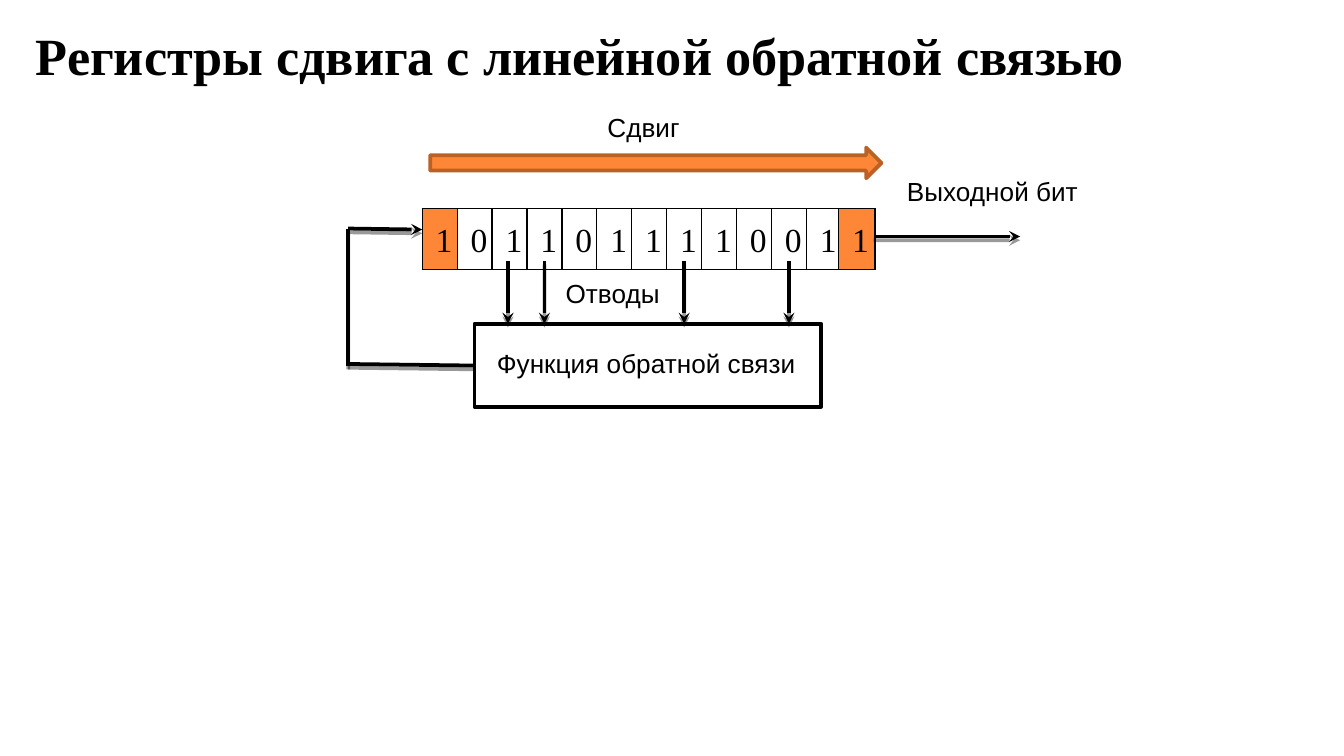
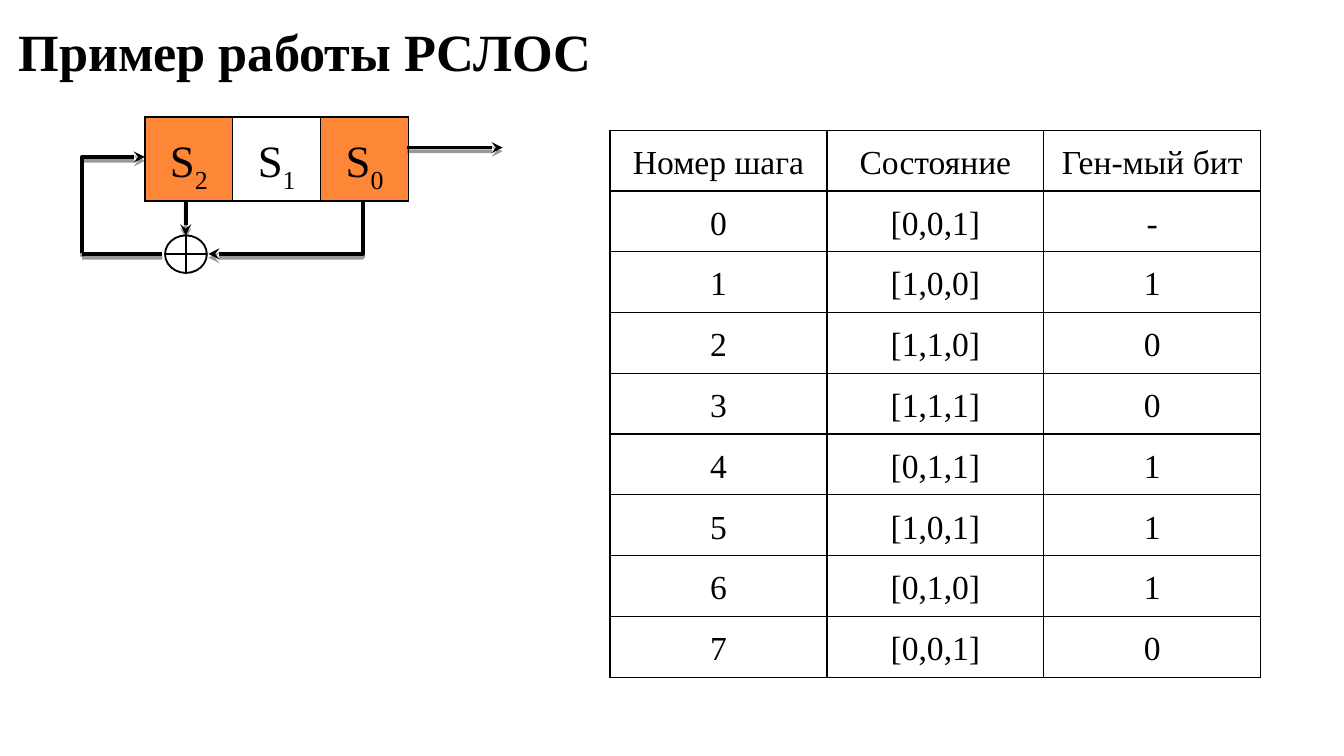
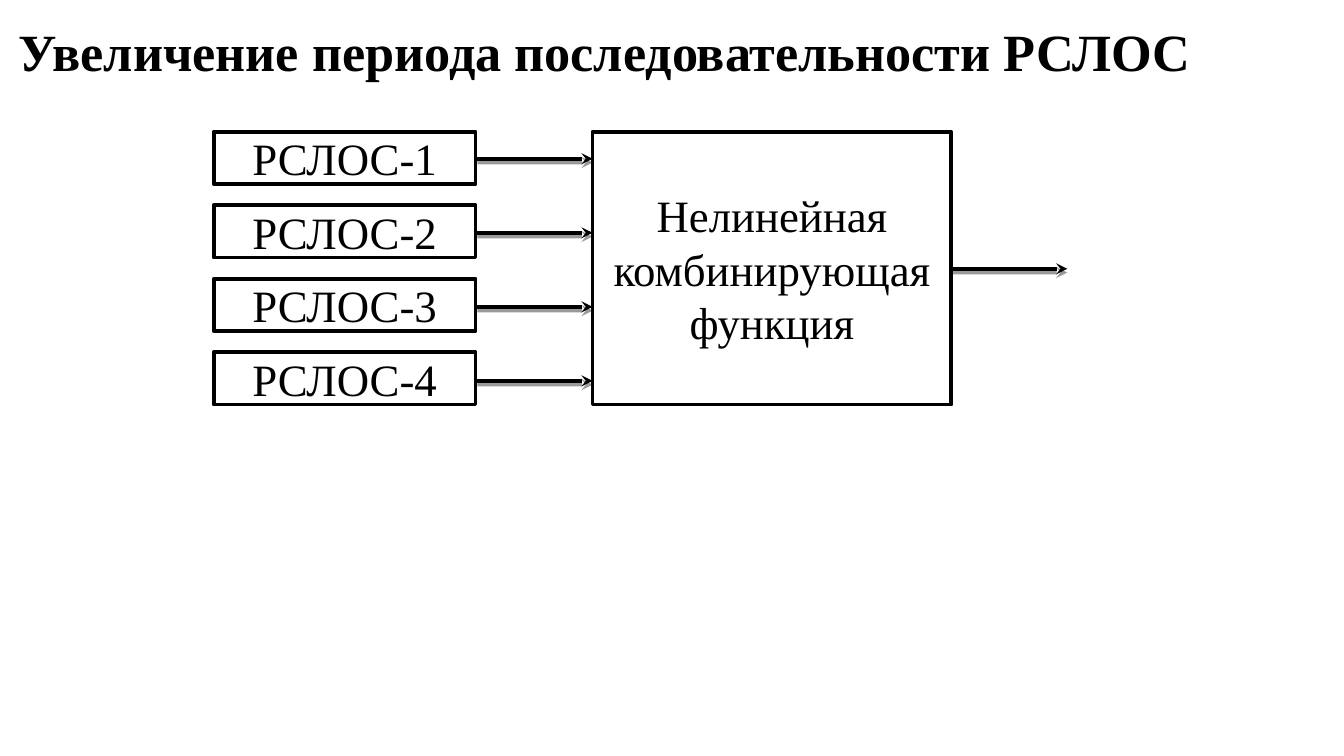
import pptx
import pptx.util
from dataclasses import dataclass
from typing import Any, Optional
from lxml import etree
from pptx.dml.color import RGBColor
from pptx.enum.shapes import MSO_CONNECTOR, MSO_SHAPE
from pptx.enum.text import MSO_ANCHOR, MSO_AUTO_SIZE, PP_ALIGN
from pptx.oxml import parse_xml
from pptx.oxml.ns import nsdecls, qn

Cm = pptx.util.Cm
Pt = pptx.util.Pt

HUES = {"ink": "000000", "paper": "FFFFFF", "accent": "FE8637", "rim": "BB6126"}
SERIF = "Times New Roman"
SANS = "Arial"


@dataclass
class Box:
    x: float
    y: float
    w: float
    h: float
    text: str = ""
    kind: Any = MSO_SHAPE.RECTANGLE
    fill: Optional[str] = None
    edge: str = "ink"
    width: float = 2


@dataclass
class Wire:
    x: float
    y: float
    to_x: float
    to_y: float
    arrow: bool = True
    bent: bool = False


@dataclass
class Label:
    x: float
    y: float
    w: float
    text: str


@dataclass
class Grid:
    x: float
    y: float
    cols: list[float]
    row: float
    cells: list[list[str]]
    size: int
    top: float
    align: Any = PP_ALIGN.CENTER
    marked: tuple[int, ...] = ()


def hue(name: str) -> RGBColor:
    return RGBColor.from_string(HUES[name])


def style(para: Any, size: int, face: str = SERIF, bold: bool = False) -> None:
    font = para.font
    font.name = face
    font.size = Pt(size)
    font.bold = bold
    font.color.rgb = hue("ink")


def add_title(slide: Any, text: str, x: float = 0.1, y: float = 0.2) -> None:
    frame = slide.shapes.add_textbox(Cm(x), Cm(y), Cm(23.95), Cm(1.5)).text_frame
    frame.word_wrap = True
    frame.vertical_anchor = MSO_ANCHOR.MIDDLE
    frame.text = text
    style(frame.paragraphs[0], 28, bold=True)


def add_label(slide: Any, label: Label) -> None:
    frame = slide.shapes.add_textbox(Cm(label.x), Cm(label.y), Cm(label.w), Cm(0.86)).text_frame
    frame.word_wrap = False
    frame.auto_size = MSO_AUTO_SIZE.SHAPE_TO_FIT_TEXT
    frame.text = label.text
    style(frame.paragraphs[0], 14, SANS)


def add_box(slide: Any, box: Box) -> None:
    shape = slide.shapes.add_shape(box.kind, Cm(box.x), Cm(box.y), Cm(box.w), Cm(box.h))
    shape.shadow.inherit = False
    if box.fill:
        shape.fill.solid()
        shape.fill.fore_color.rgb = hue(box.fill)
    else:
        shape.fill.background()
    shape.line.color.rgb = hue(box.edge)
    shape.line.width = Pt(box.width)
    if box.text:
        frame = shape.text_frame
        frame.word_wrap = True
        frame.vertical_anchor = MSO_ANCHOR.MIDDLE
        frame.text = box.text
        para = frame.paragraphs[0]
        para.alignment = PP_ALIGN.CENTER
        style(para, 24)


def add_wire(slide: Any, wire: Wire) -> None:
    kind = MSO_CONNECTOR.ELBOW if wire.bent else MSO_CONNECTOR.STRAIGHT
    line = slide.shapes.add_connector(kind, Cm(wire.x), Cm(wire.y), Cm(wire.to_x), Cm(wire.to_y))
    line.line.color.rgb = hue("ink")
    line.line.width = Pt(2)
    props = line._element.spPr
    if wire.bent:
        guides = props.find(qn("a:prstGeom")).get_or_add_avLst()
        etree.SubElement(guides, qn("a:gd"), name="adj1", fmla="val 0")
    if wire.arrow:
        etree.SubElement(props.find(qn("a:ln")), qn("a:tailEnd"), type="stealth")
    props.append(parse_xml(
        f'<a:effectLst {nsdecls("a")}><a:outerShdw blurRad="0" dist="{Pt(2)}" dir="5400000" '
        f'rotWithShape="0"><a:srgbClr val="{HUES["ink"]}"><a:alpha val="40000"/></a:srgbClr>'
        '</a:outerShdw></a:effectLst>'))


def add_rim(cell: Any) -> None:
    props = cell._tc.get_or_add_tcPr()
    for side in ("lnL", "lnR", "lnT", "lnB"):
        props.append(parse_xml(
            f'<a:{side} {nsdecls("a")} w="{Pt(0.75)}"><a:solidFill>'
            f'<a:srgbClr val="{HUES["ink"]}"/></a:solidFill></a:{side}>'))


def fill_cell(cell: Any, text: str, grid: Grid, marked: bool) -> None:
    cell.margin_top = Cm(grid.top)
    para = cell.text_frame.paragraphs[0]
    para.alignment = grid.align
    para.line_spacing = 0.81
    style(para, grid.size)
    base, _, index = text.partition("_")
    para.add_run().text = base
    if index:
        low = para.add_run()
        low.text = index
        low._r.get_or_add_rPr().set("baseline", "-25000")
    add_rim(cell)
    cell.fill.solid()
    cell.fill.fore_color.rgb = hue("accent" if marked else "paper")


def add_grid(slide: Any, grid: Grid) -> None:
    rows = len(grid.cells)
    table = slide.shapes.add_table(
        rows, len(grid.cols), Cm(grid.x), Cm(grid.y), Cm(sum(grid.cols)), Cm(grid.row * rows)).table
    table.first_row = False
    table.horz_banding = False
    for col, width in zip(table.columns, grid.cols):
        col.width = Cm(width)
    for row, texts in zip(table.rows, grid.cells):
        row.height = Cm(grid.row)
        for spot, text in enumerate(texts):
            fill_cell(row.cells[spot], text, grid, spot in grid.marked)


def draw(slide: Any, parts: list[Any]) -> None:
    tools = {Box: add_box, Wire: add_wire, Label: add_label, Grid: add_grid}
    for part in parts:
        tools[type(part)](slide, part)


def shift_slide(slide: Any) -> None:
    add_title(slide, "Регистры сдвига с линейной обратной связью", 0.43, 0.28)
    bits = list("1011011110011")
    draw(slide, [
        Grid(7.98, 3.94, [0.66] * 11 + [0.6, 0.69], 1.15, [bits], 18, 0.38,
             PP_ALIGN.LEFT, (0, len(bits) - 1)),
        *[Wire(x, 4.93, x, 6.12) for x in (9.6, 10.29, 12.93, 14.91)],
        Box(8.97, 6.12, 6.55, 1.57),
        Wire(8.97, 6.91, 6.58, 6.88, arrow=False),
        Wire(6.58, 6.91, 6.58, 4.32, arrow=False),
        Wire(6.58, 4.32, 7.98, 4.34),
        Wire(16.51, 4.47, 19.28, 4.47),
        Box(8.13, 2.79, 8.53, 0.58, kind=MSO_SHAPE.RIGHT_ARROW, fill="accent", edge="rim"),
        Label(9.14, 6.45, 6.22, "Функция обратной связи"),
        Label(16.89, 3.2, 3.78, "Выходной бит"),
        Label(11.23, 1.98, 1.91, "Сдвиг"),
        Label(10.44, 5.11, 2.31, "Отводы"),
    ])


def state_slide(slide: Any) -> None:
    add_title(slide, "Пример работы РСЛОС")
    states = ["001", "100", "110", "111", "011", "101", "010", "001"]
    steps = [[str(step), f"[{','.join(state)}]", bit]
             for step, (state, bit) in enumerate(zip(states, "-1001110"))]
    head = ["Номер шага", "Состояние", "Ген-мый бит"]
    draw(slide, [
        Grid(2.74, 2.21, [1.66] * 3, 1.59, [["S_2", "S_1", "S_0"]], 24, 0.46, marked=(0, 2)),
        Wire(3.51, 3.78, 3.51, 4.45),
        Wire(6.86, 3.78, 3.94, 4.8, bent=True),
        Wire(7.7, 2.79, 9.5, 2.79),
        Wire(1.55, 4.8, 3.07, 4.8, arrow=False),
        Wire(1.55, 4.78, 2.74, 2.97, bent=True),
        Box(3.12, 4.45, 0.79, 0.71, kind=MSO_SHAPE.FLOWCHART_OR, fill="paper", width=1),
        Grid(11.53, 2.46, [4.1] * 3, 1.15, [head, *steps], 18, 0.38),
    ])


def period_slide(slide: Any) -> None:
    add_title(slide, "Увеличение периода последовательности РСЛОС")
    for spot in range(4):
        level = 3 + 1.4 * spot
        draw(slide, [
            Box(4.04, 2.49 + 1.39 * spot, 4.95, 0.99, f"РСЛОС-{spot + 1}"),
            Wire(9.02, level, 11.2, level),
        ])
    draw(slide, [
        Box(11.2, 2.49, 6.78, 5.16, "Нелинейная комбинирующая функция"),
        Wire(17.98, 5.08, 20.17, 5.08),
    ])


def main() -> None:
    deck = pptx.Presentation()
    deck.slide_width = Cm(25.4)
    deck.slide_height = Cm(14.29)
    for build in (shift_slide, state_slide, period_slide):
        build(deck.slides.add_slide(deck.slide_layouts[6]))
    deck.save("out.pptx")


if __name__ == "__main__":
    main()
